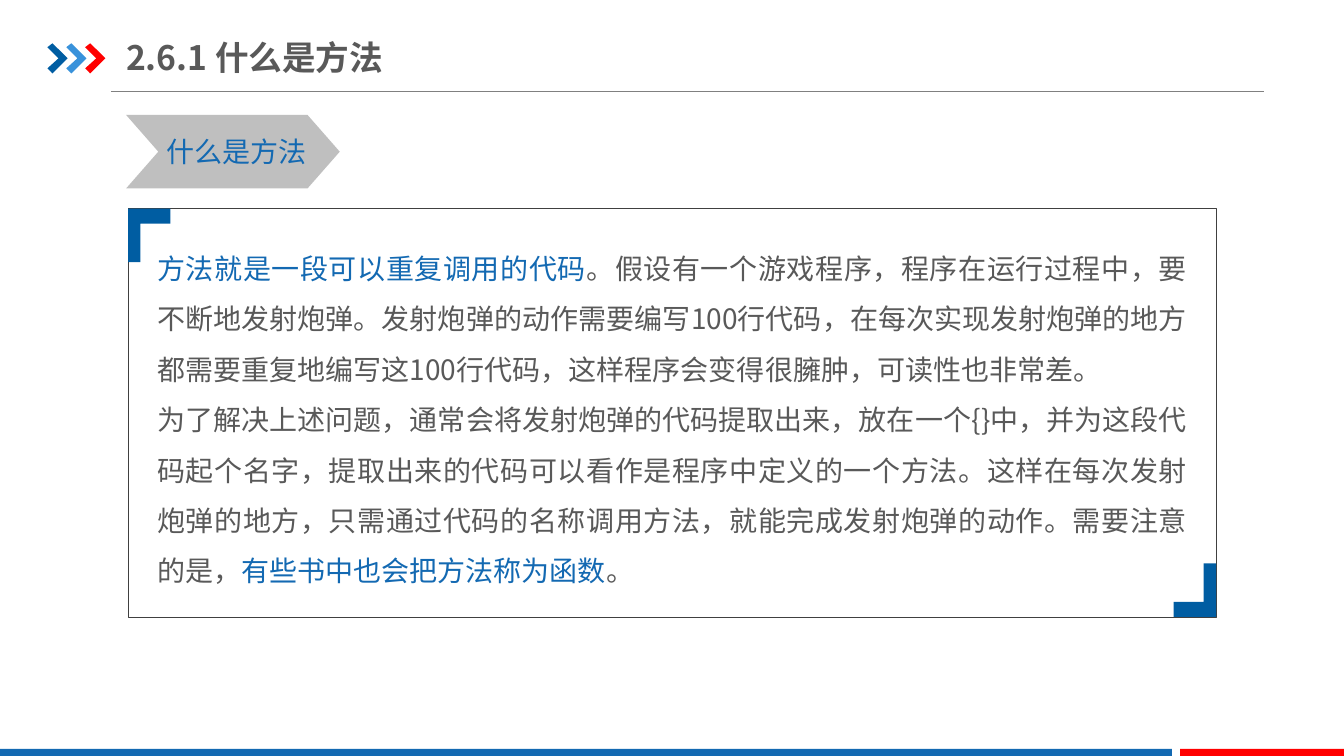
from collections import namedtuple

from lxml.etree import SubElement
from pptx import Presentation
from pptx.dml.color import RGBColor
from pptx.enum.shapes import MSO_CONNECTOR, MSO_SHAPE
from pptx.enum.text import MSO_ANCHOR as Anchor, MSO_AUTO_SIZE as AutoSize, PP_ALIGN as Align
from pptx.oxml.ns import qn
from pptx.util import Inches, Pt

FONT = "Noto Sans CJK SC"
BLUE, NAVY, SKY, RED = "1369B2", "005DA2", "3992DB", "FF0000"
TEXT, SILVER, GRAY, FRAME = "595959", "BFBFBF", "808080", "404040"
ARROW = [(0, 0.13), (0.25, 0), (1, 0.5), (0.25, 1), (0, 0.83), (0.55, 0.5)]
CORNER = [(0, 0), (1, 0), (1, 0.28), (0.29, 0.28), (0.29, 1), (0, 1)]
PARAGRAPHS = [
    [("方法就是一段可以重复调用的代码", BLUE),
     ("。假设有一个游戏程序，程序在运行过程中，要不断地发射炮弹。发射炮弹的动作需要编写100行代码，"
      "在每次实现发射炮弹的地方都需要重复地编写这100行代码，这样程序会变得很臃肿，可读性也非常差。", TEXT)],
    [("为了解决上述问题，通常会将发射炮弹的代码提取出来，放在一个{}中，并为这段代码起个名字，"
      "提取出来的代码可以看作是程序中定义的一个方法。这样在每次发射炮弹的地方，"
      "只需通过代码的名称调用方法，就能完成发射炮弹的动作。需要注意的是，", TEXT),
     ("有些书中也会把方法称为函数", BLUE),
     ("。", TEXT)],
]

Box = namedtuple("Box", "left top width height")


def color(value):
    """Turn a hex string into a colour."""
    return RGBColor.from_string(value)


def inside(box, left, top, width, height):
    """Return the part of a box given in percent of its size."""
    return Box(int(box.left + box.width * left / 100), int(box.top + box.height * top / 100),
               int(box.width * width / 100), int(box.height * height / 100))


def paint(shape, fill=None, line=None, weight=0.25):
    """Set fill and outline of a shape and remove its shadow."""
    shape.shadow.inherit = False
    if fill:
        shape.fill.solid()
        shape.fill.fore_color.rgb = color(fill)
    else:
        shape.fill.background()
    if line:
        shape.line.color.rgb = color(line)
        shape.line.width = Pt(weight)
    else:
        shape.line.fill.background()


def add_preset(page, box, kind, adjust=None, **style):
    """Add a painted preset shape."""
    shape = page.shapes.add_shape(kind, *box)
    if adjust is not None:
        shape.adjustments[0] = adjust
    paint(shape, **style)


def add_outline(page, box, points, fill):
    """Add a closed outline whose points are shares of the box."""
    corners = [(int(box.left + x * box.width), int(box.top + y * box.height)) for x, y in points]
    builder = page.shapes.build_freeform(*corners[0])
    builder.add_line_segments(corners[1:], close=True)
    paint(builder.convert_to_shape(), fill)


def add_text(page, box, paragraphs, size=20, bold=False, align=None, spacing=None,
             anchor=Anchor.TOP, wrap=True, grow=False, margin=0.1):
    """Add a text box whose paragraphs are lists of (text, colour) spans."""
    frame = page.shapes.add_textbox(*box).text_frame
    frame.word_wrap = wrap
    frame.auto_size = AutoSize.SHAPE_TO_FIT_TEXT if grow else AutoSize.NONE
    frame.vertical_anchor = anchor
    frame.margin_left = frame.margin_right = Inches(margin)
    for index, spans in enumerate(paragraphs):
        para = frame.add_paragraph() if index else frame.paragraphs[0]
        para.alignment = align
        para.line_spacing = spacing
        for text, shade in spans:
            span = para.add_run()
            span.text = text
            font = span.font
            font.name, font.size, font.bold = FONT, Pt(size), bold
            font.color.rgb = color(shade)
            SubElement(span.font._element, qn("a:ea"), typeface=FONT)


def add_header(page, box):
    """Draw the three arrows, the title and the rule below."""
    for index, shade in enumerate((NAVY, SKY, RED)):
        add_outline(page, inside(box, 1.55 * index, 22.5, 1.66, 48.4), ARROW, shade)
    add_text(page, inside(box, 6.46, 0, 35.3, 88.74), [[("2.6.1 什么是方法", TEXT)]],
             size=24, bold=True, anchor=Anchor.MIDDLE, margin=0)
    rule = inside(box, 5.21, 100, 94.79, 0)
    line = page.shapes.add_connector(MSO_CONNECTOR.STRAIGHT, rule.left, rule.top,
                                     rule.left + rule.width, rule.top)
    line.line.color.rgb = color(GRAY)
    line.line.width = Pt(0.75)
    SubElement(line._element.spPr, qn("a:effectLst"))


def add_tag(page, box):
    """Draw the chevron with the topic name."""
    add_preset(page, box, MSO_SHAPE.CHEVRON, 0.438, fill=SILVER)
    add_text(page, inside(box, 14.15, 20.5, 75, 60.3), [[("什么是方法", BLUE)]],
             wrap=False, grow=True)


def add_panel(page, box):
    """Draw the framed explanation with its two corner marks."""
    add_text(page, inside(box, 1.76, 5.19, 96.48, 89.63), PARAGRAPHS,
             align=Align.JUSTIFY, spacing=1.5, grow=True)
    add_preset(page, box, MSO_SHAPE.ROUNDED_RECTANGLE, 0, line=FRAME)
    width, height = 3.89, 13.09
    add_outline(page, inside(box, 0, 0, width, height), CORNER, NAVY)
    add_outline(page, inside(box, 100 - width, 100 - height, width, height),
                [(1 - x, 1 - y) for x, y in CORNER], NAVY)


def add_footer(page, box):
    """Draw the two bars along the bottom edge."""
    for left, width, shade in ((0, 87.2, BLUE), (87.8, 12.2, RED)):
        add_preset(page, inside(box, left, 0, width, 100), MSO_SHAPE.RECTANGLE, fill=shade)


def main():
    """Build the deck and save it."""
    deck = Presentation()
    deck.slide_width, deck.slide_height = Inches(13.33), Inches(7.5)
    page = deck.slides.add_slide(deck.slide_layouts[6])
    whole = Box(0, 0, deck.slide_width, deck.slide_height)
    add_header(page, inside(whole, 3.53, 3.87, 90.54, 8.26))
    add_footer(page, inside(whole, 0, 99.07, 100, 0.93))
    add_tag(page, inside(whole, 9.38, 15.2, 15.9, 9.73))
    add_panel(page, inside(whole, 9.53, 27.6, 80.95, 54))
    deck.save("out.pptx")


if __name__ == "__main__":
    main()
